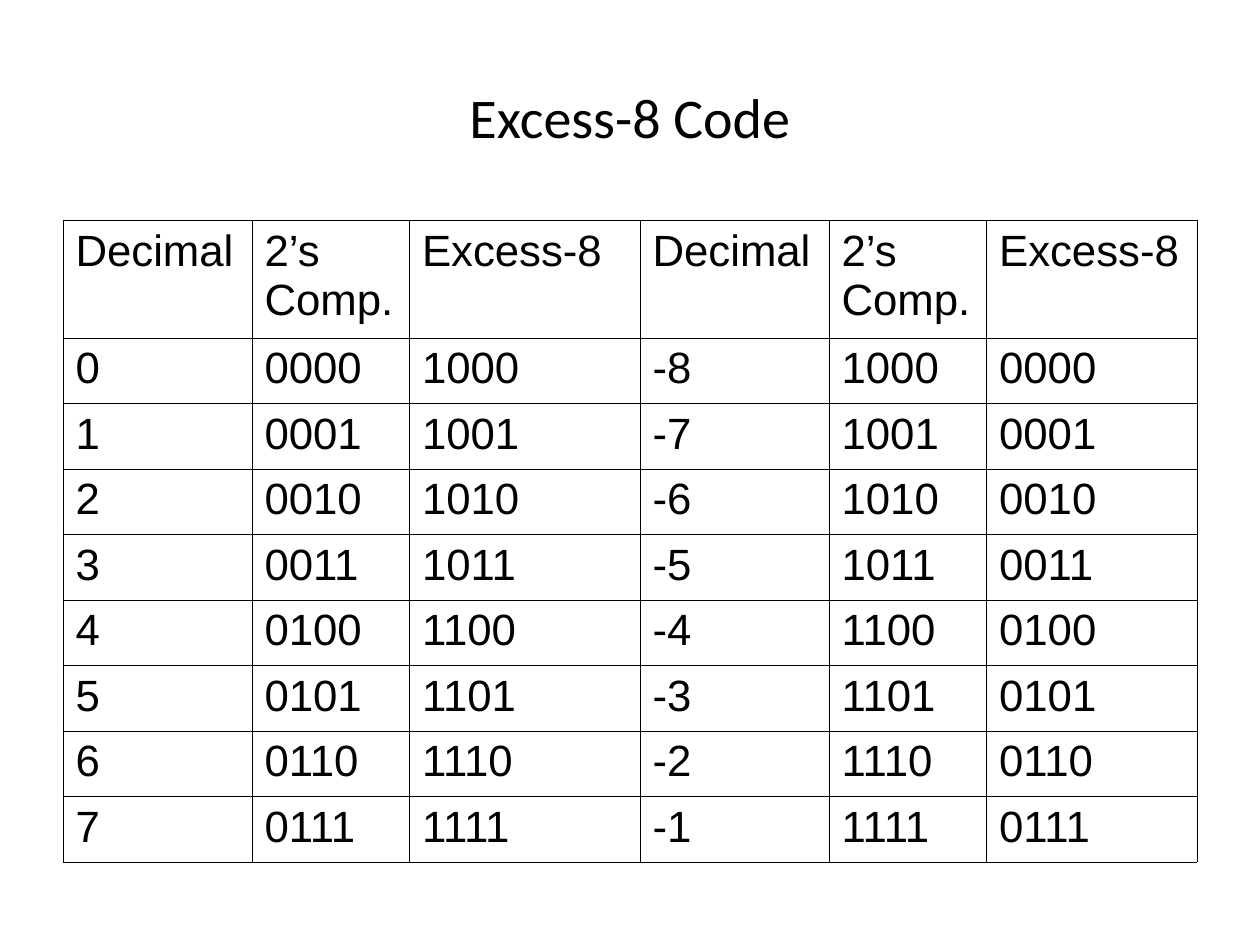
from dataclasses import dataclass

from lxml.etree import SubElement
from pptx import Presentation
from pptx.dml.color import RGBColor
from pptx.enum.text import MSO_ANCHOR, PP_ALIGN
from pptx.oxml.ns import qn
from pptx.util import Inches, Pt

COLORS = {"ink": "000000"}
SLIDE_WIDTH, SLIDE_HEIGHT = Inches(10), Inches(7.5)
MARGIN = 0.05  # share of the slide's width
HEADER_HEIGHT, ROW_HEIGHT = Inches(0.93), Inches(0.52)
BORDER_WIDTH = Pt(0.45)
BIAS = 8  # the code stores each number plus eight


@dataclass(frozen=True)
class Column:
    heading: str
    width: float  # inches
    align: PP_ALIGN = PP_ALIGN.JUSTIFY


COLUMNS = [
    Column("Decimal", 1.5),
    Column("2’s\nComp.", 1.25),
    Column("Excess-8", 1.83),
    Column("Decimal", 1.5),
    Column("2’s Comp.", 1.25),
    Column("Excess-8", 1.67, PP_ALIGN.LEFT),
]


def code_triple(number: int) -> list[str]:
    """Decimal, two's complement and excess-8 forms of a number."""
    return [str(number), f"{number % 16:04b}", f"{number + BIAS:04b}"]


def style_text(frame, font_name: str, size: float, align: PP_ALIGN) -> None:
    for paragraph in frame.paragraphs:
        paragraph.alignment = align
        paragraph.font.name = font_name
        paragraph.font.size = Pt(size)
        paragraph.font.color.rgb = RGBColor.from_string(COLORS["ink"])


def add_borders(cell) -> None:
    properties = cell._tc.get_or_add_tcPr()
    for position, side in enumerate(("lnL", "lnR", "lnT", "lnB")):
        line = SubElement(properties, qn(f"a:{side}"), w=str(BORDER_WIDTH))
        fill = SubElement(line, qn("a:solidFill"))
        SubElement(fill, qn("a:srgbClr"), val=COLORS["ink"])
        properties.insert(position, line)  # borders precede the cell fill


def add_title(slide, text: str) -> None:
    box = slide.shapes.add_textbox(
        int(SLIDE_WIDTH * MARGIN), int(SLIDE_HEIGHT * 0.04),
        int(SLIDE_WIDTH * (1 - 2 * MARGIN)), Inches(1.25))
    frame = box.text_frame
    frame.word_wrap = True
    frame.vertical_anchor = MSO_ANCHOR.MIDDLE
    frame.text = text
    style_text(frame, "Calibri", 32, PP_ALIGN.CENTER)


def add_code_table(slide, rows: list[list[str]]) -> None:
    table = slide.shapes.add_table(
        len(rows), len(COLUMNS), int(SLIDE_WIDTH * MARGIN), Inches(1.75),
        int(SLIDE_WIDTH * (1 - 2 * MARGIN)),
        HEADER_HEIGHT + ROW_HEIGHT * (len(rows) - 1)).table
    table.first_row = table.horz_banding = False
    for index, column in enumerate(COLUMNS):
        table.columns[index].width = Inches(column.width)
    for row_index, values in enumerate(rows):
        table.rows[row_index].height = ROW_HEIGHT if row_index else HEADER_HEIGHT
        for column_index, value in enumerate(values):
            cell = table.cell(row_index, column_index)
            cell.text = value
            cell.fill.background()
            add_borders(cell)
            align = COLUMNS[column_index].align if row_index else PP_ALIGN.JUSTIFY
            style_text(cell.text_frame, "Arial", 25, align)


def main() -> None:
    presentation = Presentation()
    presentation.slide_width, presentation.slide_height = SLIDE_WIDTH, SLIDE_HEIGHT
    slide = presentation.slides.add_slide(presentation.slide_layouts[6])

    add_title(slide, "Excess-8 Code")

    # Non-negative numbers on the left, negative ones on the right
    headings = [column.heading for column in COLUMNS]
    codes = [code_triple(n) + code_triple(n - BIAS) for n in range(BIAS)]
    add_code_table(slide, [headings] + codes)

    presentation.save("out.pptx")


if __name__ == "__main__":
    main()
